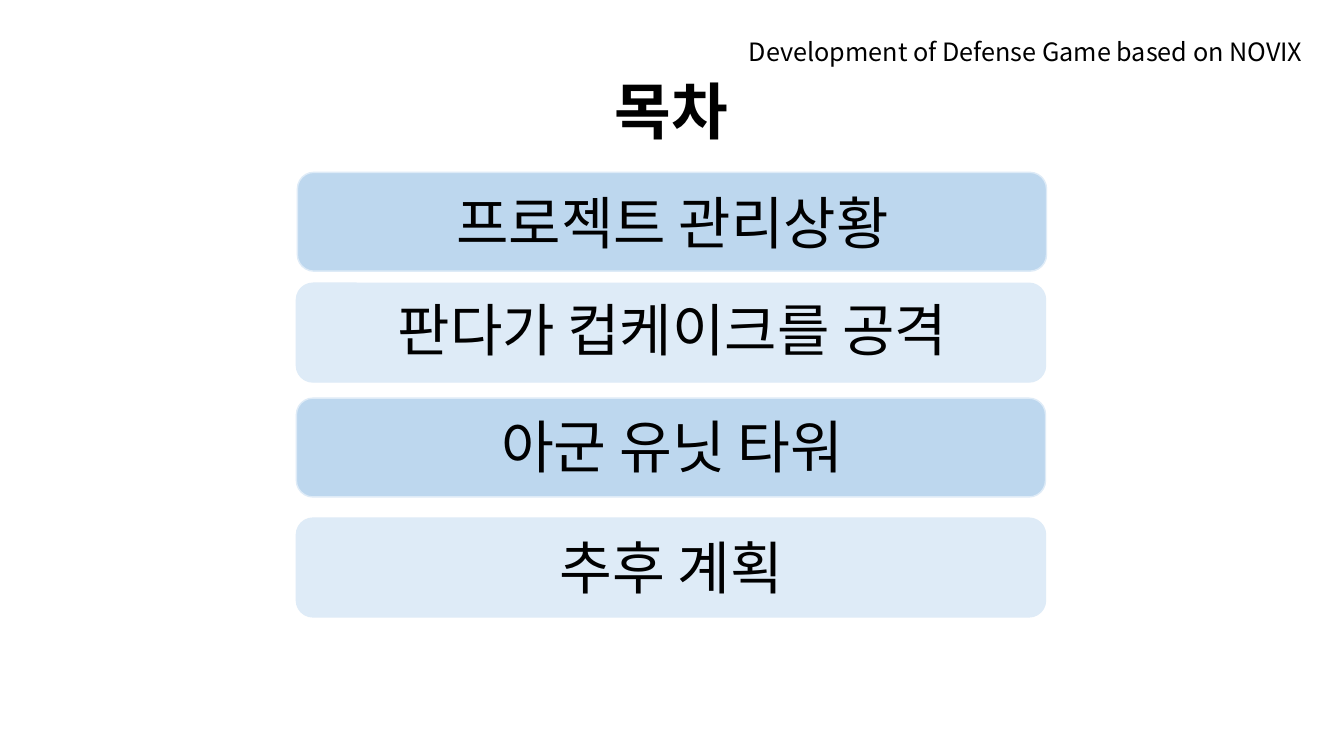
from dataclasses import dataclass

from lxml.etree import SubElement
from pptx import Presentation
from pptx.dml.color import RGBColor
from pptx.enum.shapes import MSO_SHAPE
from pptx.enum.text import MSO_ANCHOR, PP_ALIGN
from pptx.oxml.ns import qn
from pptx.slide import Slide
from pptx.util import Inches, Pt

FONT = "Noto Sans CJK KR"
COLORS = {"text": "000000", "dark": "BDD7EE", "light": "DEEBF7"}


@dataclass
class Label:
    text: str
    left: float
    top: float
    width: float
    height: float
    size: float
    align: PP_ALIGN = PP_ALIGN.CENTER
    line_spacing: float = 1.0
    bold: bool = False
    anchor: MSO_ANCHOR = MSO_ANCHOR.TOP


@dataclass
class Chapter:
    bar_left: float
    bar_top: float
    fill: str
    label: Label


def add_label(slide: Slide, label: Label) -> None:
    box = slide.shapes.add_textbox(
        Inches(label.left), Inches(label.top), Inches(label.width), Inches(label.height)
    )
    frame = box.text_frame
    frame.word_wrap = True
    frame.vertical_anchor = label.anchor
    frame.text = label.text
    paragraph = frame.paragraphs[0]
    paragraph.alignment = label.align
    paragraph.line_spacing = label.line_spacing
    run = paragraph.runs[0]
    run.font.size = Pt(label.size)
    run.font.bold = label.bold
    run.font.color.rgb = RGBColor.from_string(COLORS["text"])
    run.font.name = FONT
    # Korean glyphs take the East Asian typeface
    SubElement(run.font._element, qn("a:ea"), typeface=FONT)


def add_chapter(slide: Slide, chapter: Chapter) -> None:
    bar = slide.shapes.add_shape(
        MSO_SHAPE.ROUNDED_RECTANGLE,
        Inches(chapter.bar_left), Inches(chapter.bar_top), Inches(7.43), Inches(0.98),
    )
    bar.shadow.inherit = False
    bar.fill.solid()
    bar.fill.fore_color.rgb = RGBColor.from_string(COLORS[chapter.fill])
    bar.line.color.rgb = RGBColor.from_string(COLORS["light"])
    bar.line.width = Pt(1)
    add_label(slide, chapter.label)


HEADINGS = [
    Label("목차", 6, 0.41, 11.5, 1.45, 44, PP_ALIGN.LEFT, 0.9, True, MSO_ANCHOR.MIDDLE),
    Label("Development of Defense Game based on NOVIX", 7.33, 0.31, 6.58, 0.4, 18,
          PP_ALIGN.LEFT),
]

CHAPTERS = [
    Chapter(2.95, 1.71, "dark",
            Label("프로젝트 관리상황", 3.69, 1.94, 5.96, 0.69, 40.7, line_spacing=0.8)),
    Chapter(2.94, 2.81, "light",
            Label("판다가 컵케이크를 공격", 3.69, 3, 5.96, 0.69, 40.7, line_spacing=0.8)),
    Chapter(2.94, 3.95, "dark", Label("아군 유닛 타워", 3.41, 4.03, 6.52, 0.79, 41)),
    Chapter(2.94, 5.14, "light", Label("추후 계획", 3.4, 5.23, 6.52, 0.79, 41)),
]


def main() -> None:
    presentation = Presentation()
    presentation.slide_width = Inches(13.33)
    presentation.slide_height = Inches(7.5)
    slide = presentation.slides.add_slide(presentation.slide_layouts[6])

    # Title and project name
    for heading in HEADINGS:
        add_label(slide, heading)

    # Table of contents
    for chapter in CHAPTERS:
        add_chapter(slide, chapter)

    presentation.save("out.pptx")


if __name__ == "__main__":
    main()
